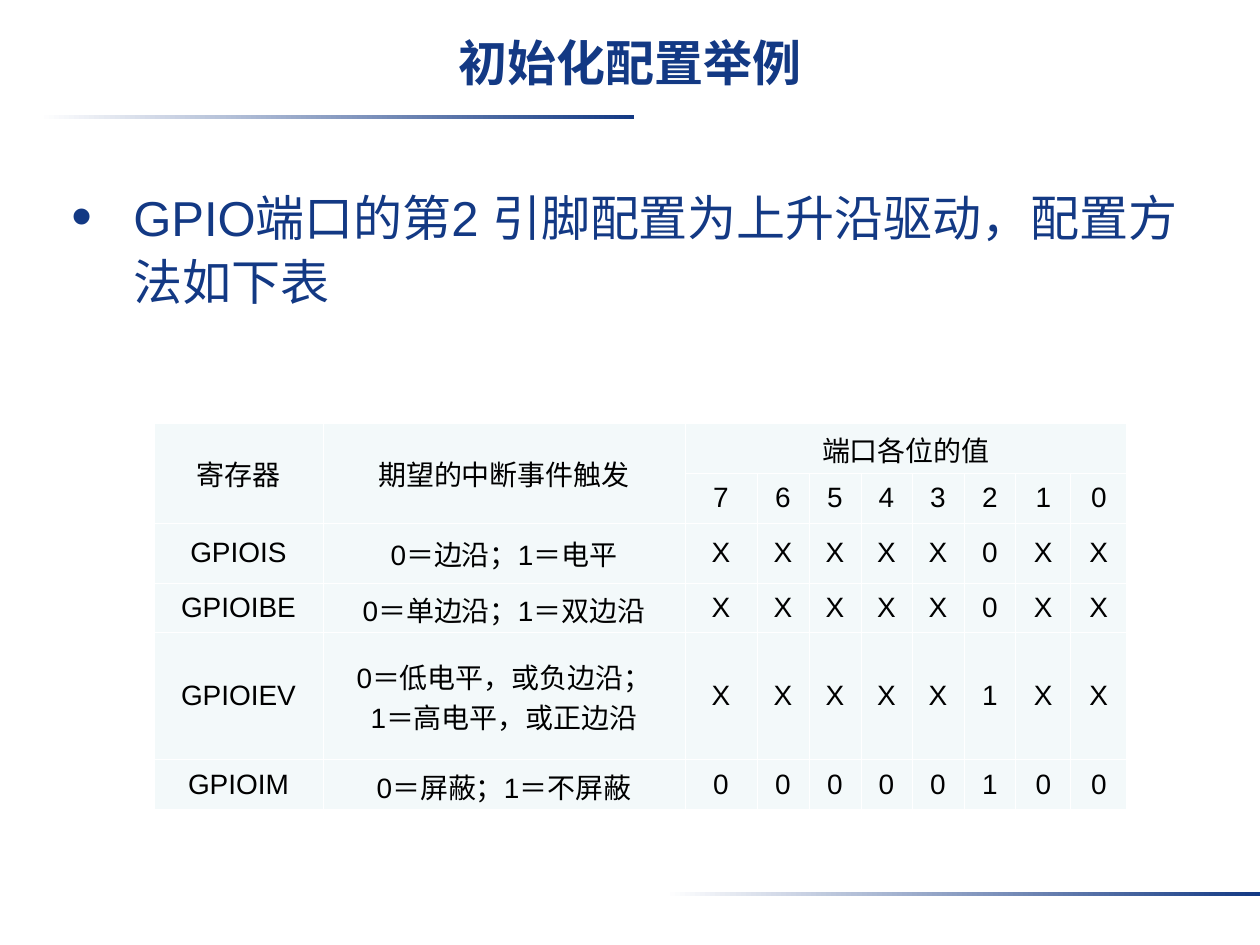
from pptx import Presentation
from pptx.dml.color import RGBColor
from pptx.enum.shapes import MSO_SHAPE
from pptx.enum.text import MSO_ANCHOR, PP_ALIGN
from pptx.oxml import parse_xml
from pptx.oxml.ns import nsdecls
from pptx.util import Pt

PX = 914400 // 126
FONT = "Arial"
COLORS = {"navy": "133984", "white": "FFFFFF", "black": "000000", "cell": "F3F9FA"}

TITLE = "初始化配置举例"
BULLET = "GPIO端口的第2 引脚配置为上升沿驱动，配置方法如下表"
HEADINGS = ["寄存器", "期望的中断事件触发", "端口各位的值"]
BITS = "76543210"
# register, meaning of each bit value, values of bits 7 to 0
REGISTERS = [
    ("GPIOIS", "0＝边沿；1＝电平", "XXXXX0XX"),
    ("GPIOIBE", "0＝单边沿；1＝双边沿", "XXXXX0XX"),
    ("GPIOIEV", "0＝低电平，或负边沿；\n1＝高电平，或正边沿", "XXXXX1XX"),
    ("GPIOIM", "0＝屏蔽；1＝不屏蔽", "00000100"),
]
COLUMN_WIDTHS = [169, 362, 72, 52, 52, 51, 52, 52, 55, 56]
ROW_HEIGHTS = [50, 50, 60, 50, 127, 50]
RULES = [(39, 115), (665, 892)]


def color(name):
    return RGBColor.from_string(COLORS[name])


def px(*lengths):
    return [length * PX for length in lengths]


def style(paragraph, size, color_name, bold=False):
    font = paragraph.font
    font.name, font.size, font.bold = FONT, Pt(size), bold
    font.color.rgb = color(color_name)


def add_rule(slide, left, top):
    """Add a thin bar that fades in from white to navy."""
    rule = slide.shapes.add_shape(MSO_SHAPE.RECTANGLE, *px(left, top, 595, 4))
    rule.shadow.inherit = False
    rule.line.fill.background()
    rule.fill.gradient()
    rule.fill.gradient_angle = 0
    for stop, name in zip(rule.fill.gradient_stops, ("white", "navy")):
        stop.color.rgb = color(name)


def add_bullet(slide):
    body = slide.shapes.add_textbox(*px(59, 175, 1134, 698)).text_frame
    body.word_wrap = True
    paragraph = body.paragraphs[0]
    paragraph.text = BULLET
    properties = paragraph._p.get_or_add_pPr()
    properties.set("marL", str(62 * PX))
    properties.set("indent", str(-62 * PX))
    for xml in (
        f'<a:buClr {nsdecls("a")}><a:srgbClr val="{COLORS["navy"]}"/></a:buClr>',
        f'<a:buSzPct {nsdecls("a")} val="120000"/>',
        f'<a:buFont {nsdecls("a")} typeface="{FONT}"/>',
        f'<a:buChar {nsdecls("a")} char="•"/>',
    ):
        properties.append(parse_xml(xml))
    paragraph.line_spacing = 1.1
    style(paragraph, 28, "navy")


def format_cell(cell):
    properties = cell._tc.get_or_add_tcPr()
    for side in ("lnL", "lnR", "lnT", "lnB"):
        properties.append(parse_xml(
            f'<a:{side} {nsdecls("a")} w="{Pt(0.45)}"><a:solidFill>'
            f'<a:srgbClr val="{COLORS["white"]}"/></a:solidFill></a:{side}>'))
    cell.fill.solid()
    cell.fill.fore_color.rgb = color("cell")
    cell.vertical_anchor = MSO_ANCHOR.MIDDLE
    cell.margin_left = cell.margin_right = 10 * PX
    cell.margin_top = cell.margin_bottom = 6 * PX
    for paragraph in cell.text_frame.paragraphs:
        paragraph.alignment = PP_ALIGN.CENTER
        style(paragraph, 16, "black")


def add_register_table(slide):
    rows = [HEADINGS + [""] * 7, ["", "", *BITS]]
    rows += [[register, meaning, *values] for register, meaning, values in REGISTERS]
    table = slide.shapes.add_table(
        len(ROW_HEIGHTS), len(COLUMN_WIDTHS),
        *px(154, 423, sum(COLUMN_WIDTHS), sum(ROW_HEIGHTS))).table
    for column, width in zip(table.columns, COLUMN_WIDTHS):
        column.width = width * PX
    for row, height, texts in zip(table.rows, ROW_HEIGHTS, rows):
        row.height = height * PX
        for cell, text in zip(row.cells, texts):
            cell.text = text
            format_cell(cell)
    for start, end in [((0, 0), (1, 0)), ((0, 1), (1, 1)), ((0, 2), (0, 9))]:
        table.cell(*start).merge(table.cell(*end))


def main():
    presentation = Presentation()
    presentation.slide_width, presentation.slide_height = px(1260, 945)
    slide = presentation.slides.add_slide(presentation.slide_layouts[5])

    title = slide.shapes.title
    title.left, title.top, title.width, title.height = px(0, 25, 1260, 95)
    title.text = TITLE
    title.text_frame.vertical_anchor = MSO_ANCHOR.TOP
    title.text_frame.margin_top = 8 * PX
    heading = title.text_frame.paragraphs[0]
    heading.alignment = PP_ALIGN.CENTER
    style(heading, 28, "navy", bold=True)

    for left, top in RULES:
        add_rule(slide, left, top)
    add_bullet(slide)
    add_register_table(slide)
    presentation.save("out.pptx")


if __name__ == "__main__":
    main()
